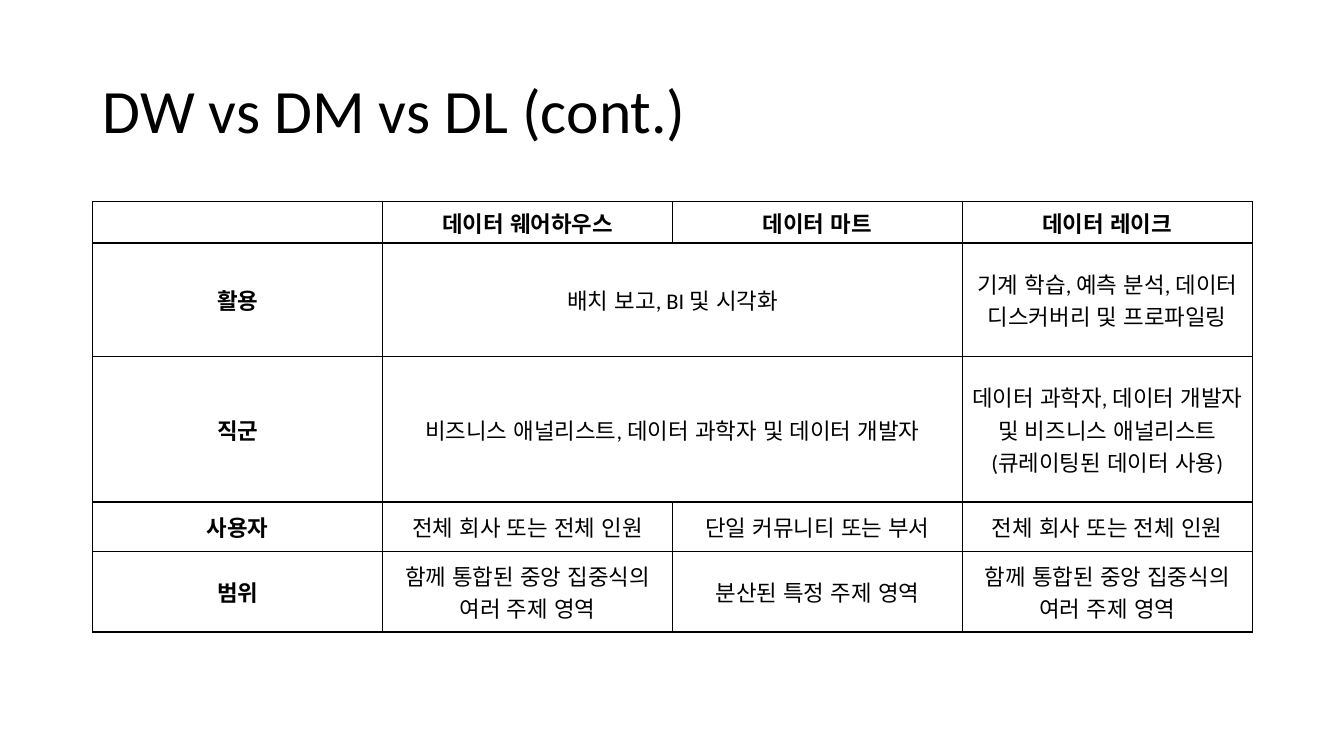
from lxml import etree
from pptx import Presentation
from pptx import util as u
from pptx.dml.color import RGBColor
from pptx.enum import lang, text
from pptx.oxml.ns import qn

COLORS = {"ink": "000000", "paper": "FFFFFF"}
FONT = "Calibri"

presentation = Presentation()
presentation.slide_width = u.Inches(13.33)
presentation.slide_height = u.Inches(7.5)
slide = presentation.slides.add_slide(presentation.slide_layouts[6])

left = u.Inches(0.92)
content_width = u.Inches(11.5)


def add_text(paragraph, words, size, bold=False):
    run = paragraph.add_run()
    run.text = words
    run.font.name = FONT
    run.font.size = u.Pt(size)
    run.font.bold = bold
    run.font.language_id = lang.MSO_LANGUAGE_ID.KOREAN
    run.font.color.rgb = RGBColor.from_string(COLORS["ink"])


def add_borders(cell):
    properties = cell._tc.get_or_add_tcPr()
    for position, side in enumerate(("a:lnL", "a:lnR", "a:lnT", "a:lnB")):
        line = etree.Element(qn(side), w=str(u.Pt(1)))
        fill = etree.SubElement(line, qn("a:solidFill"))
        etree.SubElement(fill, qn("a:srgbClr"), val=COLORS["ink"])
        properties.insert(position, line)


title = slide.shapes.add_textbox(left, u.Inches(0.4), content_width, u.Inches(1.45))
title.text_frame.word_wrap = True
title.text_frame.vertical_anchor = text.MSO_ANCHOR.MIDDLE
title_paragraph = title.text_frame.paragraphs[0]
title_paragraph.line_spacing = 0.9
add_text(title_paragraph, "DW vs DM vs DL (cont.)", 44)

rows = [
    ["", "데이터 웨어하우스", "데이터 마트", "데이터 레이크"],
    ["활용", "배치 보고, BI 및 시각화", None,
     "기계 학습, 예측 분석, 데이터 디스커버리 및 프로파일링"],
    ["직군", "비즈니스 애널리스트, 데이터 과학자 및 데이터 개발자", None,
     "데이터 과학자, 데이터 개발자 및 비즈니스 애널리스트(큐레이팅된 데이터 사용)"],
    ["사용자", "전체 회사 또는 전체 인원", "단일 커뮤니티 또는 부서", "전체 회사 또는 전체 인원"],
    ["범위", "함께 통합된 중앙 집중식의 여러 주제 영역", "분산된 특정 주제 영역",
     "함께 통합된 중앙 집중식의 여러 주제 영역"],
]
row_heights = [0.41, 1.13, 1.44, 0.49, 0.8]

table = slide.shapes.add_table(
    len(rows), len(rows[0]), left, u.Inches(2), content_width, u.Inches(sum(row_heights))
).table
table.first_row = False
table.horz_banding = False

for row_index, (row, height) in enumerate(zip(rows, row_heights)):
    table.rows[row_index].height = u.Inches(height)
    for column_index, words in enumerate(row):
        cell = table.cell(row_index, column_index)
        cell.fill.solid()
        cell.fill.fore_color.rgb = RGBColor.from_string(COLORS["paper"])
        add_borders(cell)
        if words is None:
            table.cell(row_index, column_index - 1).merge(cell)
            continue
        cell.vertical_anchor = text.MSO_ANCHOR.MIDDLE
        if row_index > 0 and not (row_index > 2 and column_index == 3):
            cell.margin_left = cell.margin_right = u.Inches(0.08)
            cell.margin_top = cell.margin_bottom = u.Inches(0.08)
        if words:
            paragraph = cell.text_frame.paragraphs[0]
            paragraph.alignment = text.PP_ALIGN.CENTER
            add_text(paragraph, words, 16, bold=row_index == 0 or column_index == 0)

presentation.save("out.pptx")
